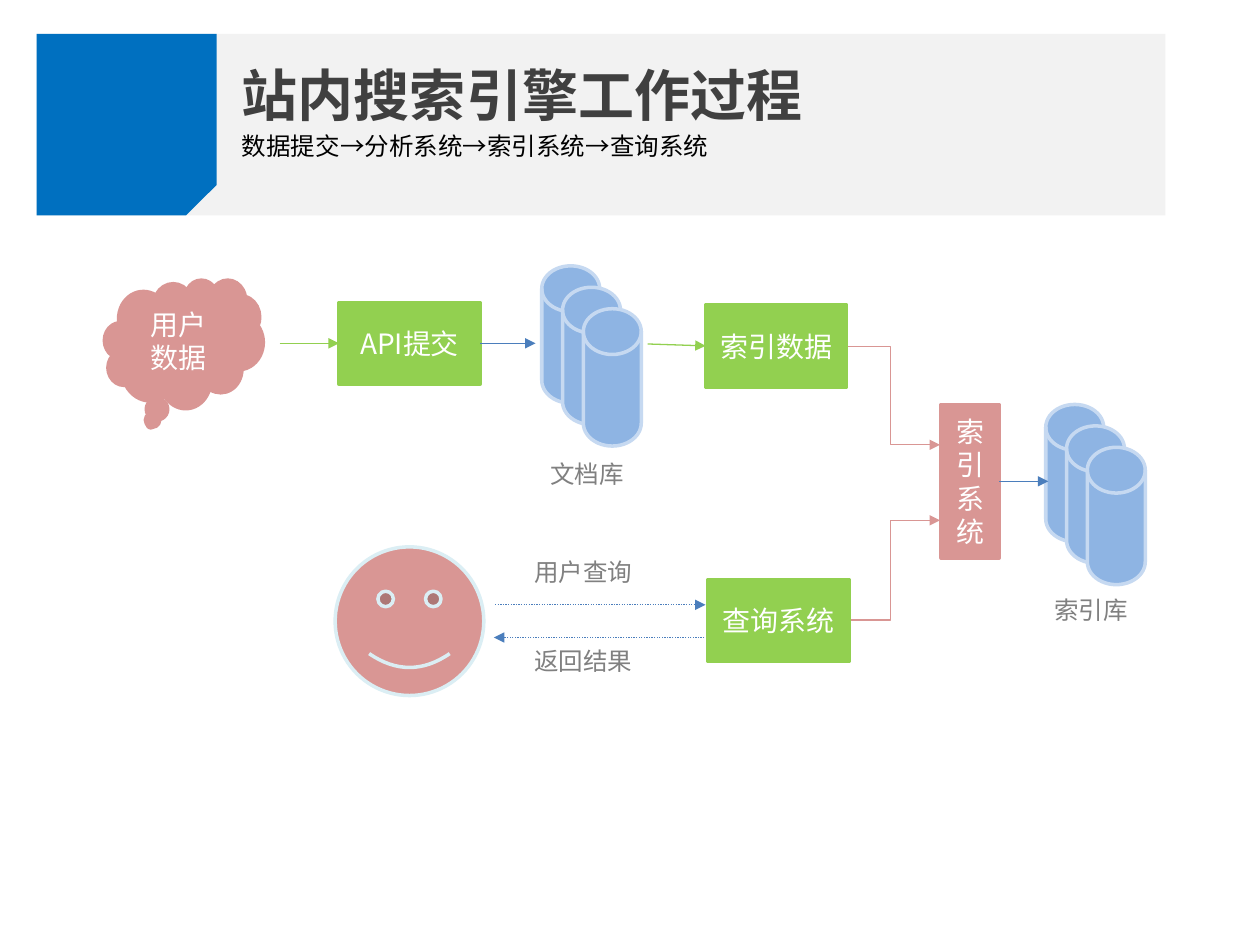
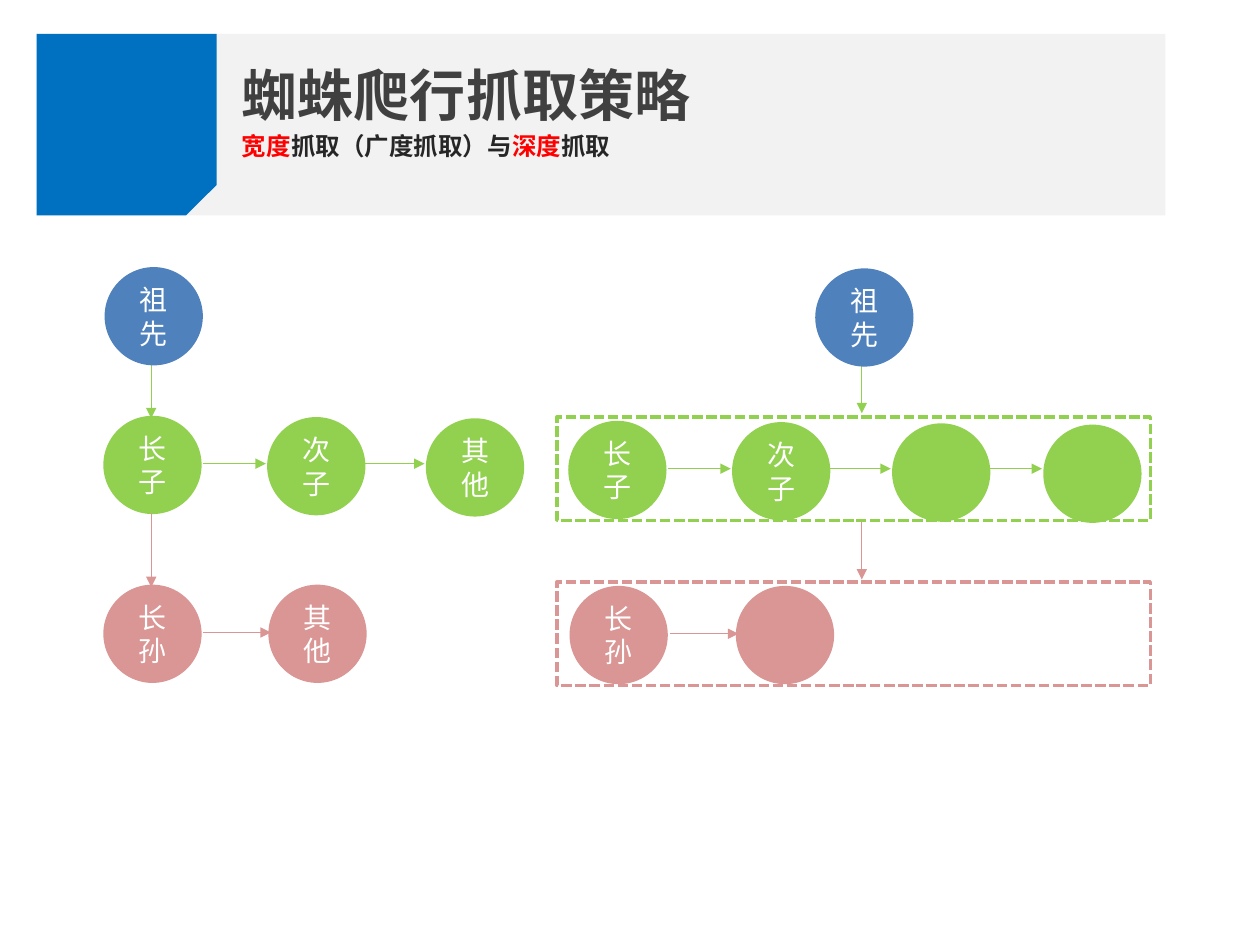
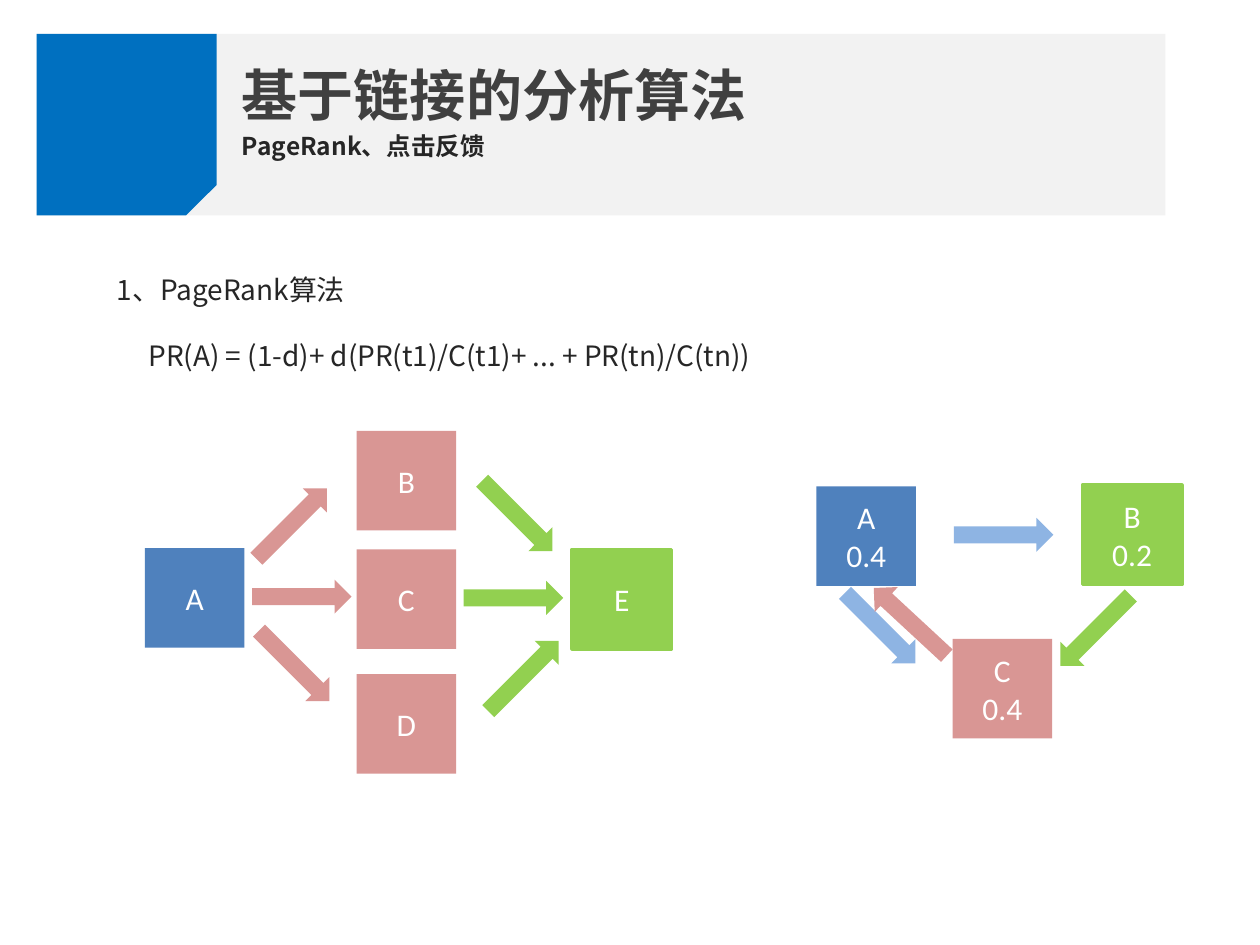
from lxml import etree
from pptx import Presentation
from pptx import util as u
from pptx.dml.color import RGBColor
from pptx.enum import dml, shapes, text
from pptx.oxml.ns import qn

COLUMNS, ROWS = 100, 75
WIDTH, HEIGHT = u.Inches(10), u.Inches(7.5)

BLACK = RGBColor(0x00, 0x00, 0x00)
WHITE = RGBColor(0xFF, 0xFF, 0xFF)
CHARCOAL = RGBColor(0x40, 0x40, 0x40)
INK = RGBColor(0x26, 0x26, 0x26)
GREY = RGBColor(0x80, 0x80, 0x80)
BAND_GREY = RGBColor(0xF2, 0xF2, 0xF2)
BAND_BLUE = RGBColor(0x00, 0x70, 0xC0)
RED = RGBColor(0xFF, 0x00, 0x00)
GREEN = RGBColor(0x92, 0xD0, 0x50)
PINK = RGBColor(0xD9, 0x96, 0x94)
BLUE = RGBColor(0x4F, 0x81, 0xBD)
ARROW_BLUE = RGBColor(0x4B, 0x7E, 0xBC)
DISK_BLUE = RGBColor(0x8E, 0xB4, 0xE3)
DISK_EDGE = RGBColor(0xC6, 0xD9, 0xF1)
FACE_EDGE = RGBColor(0xDB, 0xEE, 0xF4)

CHINESE = "Noto Sans CJK SC"
TITLE = {"size": u.Pt(32), "bold": True, "name": CHINESE}
SUBTITLE = {"size": u.Pt(14), "bold": True, "name": CHINESE}
LABEL = {"size": u.Pt(14), "bold": False, "name": CHINESE}
NODE = {"size": u.Pt(16), "bold": False, "name": CHINESE}
LETTER = {"size": u.Pt(18), "bold": False, "name": "Calibri"}

KIND = shapes.MSO_SHAPE
LEFT, CENTER = text.PP_ALIGN.LEFT, text.PP_ALIGN.CENTER
TOP, MIDDLE = text.MSO_ANCHOR.TOP, text.MSO_ANCHOR.MIDDLE
DOTS, DASHES = dml.MSO_LINE.ROUND_DOT, dml.MSO_LINE.SQUARE_DOT


def set_all(target, values):
    for name, value in values.items():
        setattr(target, name, value)


class Deck:
    """Holds the shared style and the slide being drawn; lengths are grid cells."""

    def __init__(self):
        self.presentation = Presentation()
        set_all(self.presentation, {"slide_width": WIDTH, "slide_height": HEIGHT})
        self.layout = self.presentation.slide_layouts[1]
        places = ((18.2, 1.6, 73.1, 8.2), (18.2, 9.9, 73, 3.4))
        for placeholder, place in zip(self.layout.placeholders, places):
            sides = ("left", "top", "width", "height")
            set_all(placeholder, dict(zip(sides, self.cells(*place))))
        self.slide = None

    def cells(self, *lengths):
        """Turn alternating column and row lengths into EMU."""
        steps = (WIDTH / COLUMNS, HEIGHT / ROWS)
        return [u.Emu(round(length * steps[i % 2])) for i, length in enumerate(lengths)]

    def open_slide(self, title, subtitle, subtitle_format=SUBTITLE):
        self.slide = self.presentation.slides.add_slide(self.layout)
        if len(self.presentation.slides) == 1:
            self.draw_bands()
        heading, body = self.slide.placeholders
        self.put_text(heading, [[(title, CHARCOAL)]], TITLE, line_spacing=1.5)
        self.put_text(body, [subtitle], subtitle_format, space_before=u.Pt(0))
        properties = body.text_frame.paragraphs[0]._p.get_or_add_pPr()
        properties.set("marL", "0")
        properties.set("indent", "0")
        etree.SubElement(properties, qn("a:buNone"))

    def draw_bands(self):
        """Draw the heading bands and move them to the layout all slides use."""
        for order, (width, colour, snip) in enumerate(
                ((89.6, BAND_GREY, 0), (14.3, BAND_BLUE, 0.17))):
            band = self.shape(KIND.SNIP_1_RECTANGLE, (2.9, 2.7, width, 14.4), colour)
            band.adjustments[0] = snip
            band.rotation = 180
            band.element.spPr.xfrm.set("flipH", "1")
            band.element.nvSpPr.cNvPr.set("id", str(20 + order))
            self.layout.shapes.element.insert(2 + order, band.element)

    def put_text(self, shape, lines, style, align=LEFT, anchor=TOP, wrap=True, **spacing):
        """Fill a shape with lines, each a list of (words, colour) runs."""
        frame = shape.text_frame
        set_all(frame, {"word_wrap": wrap, "vertical_anchor": anchor,
                        "auto_size": text.MSO_AUTO_SIZE.NONE})
        for index, runs in enumerate(lines):
            paragraph = frame.add_paragraph() if index else frame.paragraphs[0]
            set_all(paragraph, {"alignment": align, **spacing})
            for words, colour in runs:
                run = paragraph.add_run()
                run.text = words
                set_all(run.font, style)
                run.font.color.rgb = colour
                east_asian = etree.SubElement(run.font._element, qn("a:ea"))
                east_asian.set("typeface", style["name"])

    def shape(self, kind, place, fill=None, edge=None, words="", style=NODE, dash=None):
        shape = self.slide.shapes.add_shape(kind, *self.cells(*place))
        shape.shadow.inherit = False
        if fill is None:
            shape.fill.background()
        else:
            shape.fill.solid()
            shape.fill.fore_color.rgb = fill
        if edge is None:
            shape.line.fill.background()
        else:
            shape.line.color.rgb = edge
            set_all(shape.line, {"width": u.Pt(2), "dash_style": dash})
        if words:
            lines = [[(line, WHITE)] for line in words.split("\n")]
            self.put_text(shape, lines, style, CENTER, MIDDLE)
        return shape

    def label(self, words, left, top, width):
        box = self.slide.shapes.add_textbox(*self.cells(left, top, width, 3.4))
        self.put_text(box, [[(words, GREY)]], LABEL, wrap=False)

    def arrow(self, start, end, colour, begin=None, finish=None, elbow=False, dash=None):
        """Draw an arrow; begin and finish are (shape, side) pairs to join."""
        kind = shapes.MSO_CONNECTOR.ELBOW if elbow else shapes.MSO_CONNECTOR.STRAIGHT
        connector = self.slide.shapes.add_connector(kind, *self.cells(*start, *end))
        if begin:
            connector.begin_connect(*begin)
        if finish:
            connector.end_connect(*finish)
        connector.line.color.rgb = colour
        set_all(connector.line, {"width": u.Pt(0.75), "dash_style": dash})
        outline = connector.element.spPr.find(qn("a:ln"))
        etree.SubElement(outline, qn("a:tailEnd")).set("type", "triangle")
        etree.SubElement(connector.element.spPr, qn("a:effectLst"))

    def block_arrow(self, left, top, colour, rotation=0):
        shape = self.shape(KIND.RIGHT_ARROW, (left, top, 7.9, 2.7), colour)
        shape.rotation = rotation

    def disk_stack(self, left, top):
        for step in range(3):
            place = (left + 1.65 * step, top + 1.7 * step, 4.6, 10.9)
            self.shape(KIND.FLOWCHART_MAGNETIC_DISK, place, DISK_BLUE, DISK_EDGE)

    def circle(self, left, top, colour, words=""):
        self.shape(KIND.FLOWCHART_CONNECTOR, (left, top, 7.8, 7.8), colour, words=words)

    def circle_chain(self, top, colour, nodes, drop, reach):
        """Draw circles in a row; reach is where arrows start and end from the next one."""
        for index, (left, words) in enumerate(nodes):
            self.circle(left, top + drop * index, colour, words)
        for left, _ in nodes[1:]:
            start, end = (left + offset for offset in reach)
            self.arrow((start, top + 3.8), (end, top + 3.8), colour)

    def square(self, left, top, colour, words, edge=None):
        self.shape(KIND.RECTANGLE, (left, top, 7.9, 7.9), colour, edge, words, LETTER)


def draw_search_process(deck):
    deck.open_slide("站内搜索引擎工作过程",
                    [("数据提交→分析系统→索引系统→查询系统", BLACK)], LABEL)
    deck.shape(KIND.CLOUD_CALLOUT, (8.3, 22.2, 12.6, 10.2), PINK, PINK, "用户数据")
    deck.arrow((66.7, 27.5), (74.6, 35.3), PINK, elbow=True)
    deck.arrow((66.7, 49.2), (74.6, 41.3), PINK, elbow=True)
    submit, index_data, _ = [
        deck.shape(KIND.RECTANGLE, (left, top, 11.2, 6.5), GREEN, GREEN, words)
        for left, top, words in ((26.9, 24, "API提交"), (56, 24.2, "索引数据"),
                                 (56.2, 46, "查询系统"))]
    indexer = deck.shape(KIND.RECTANGLE, (74.7, 32.1, 4.6, 12.2), PINK, PINK, "索引系统")
    deck.disk_stack(43, 21.1)
    deck.disk_stack(83, 32.1)
    deck.arrow((22.2, 27.25), (26.9, 27.25), GREEN, finish=(submit, 1))
    deck.arrow((38.1, 27.25), (42.5, 27.25), ARROW_BLUE, begin=(submit, 3))
    deck.arrow((51.4, 27.3), (56, 27.45), GREEN, finish=(index_data, 1))
    deck.arrow((79.3, 38.2), (83.2, 38.2), ARROW_BLUE, begin=(indexer, 3))
    deck.arrow((39.3, 48), (56, 48), ARROW_BLUE, dash=DOTS)
    deck.arrow((55.9, 50.6), (39.2, 50.6), ARROW_BLUE, dash=DOTS)
    deck.shape(KIND.SMILEY_FACE, (26.6, 43.4, 11.8, 11.8), PINK, FACE_EDGE)
    for words, left, top, width in (("文档库", 42.7, 35.9, 7.9), ("索引库", 82.7, 46.7, 7.9),
                                    ("用户查询", 41.4, 43.7, 9.9), ("返回结果", 41.4, 50.8, 9.9)):
        deck.label(words, left, top, width)


def draw_crawl_strategies(deck):
    deck.open_slide("蜘蛛爬行抓取策略", [("宽度", RED), ("抓取（广度抓取）与", INK),
                                 ("深度", RED), ("抓取", INK)])
    child_reach, grandchild_reach = (-5.1, -0.1), (-5.2, 0.2)
    deck.circle_chain(33, GREEN, [(8.2, "长子"), (21.2, "次子"), (33.8, "其他")],
                      0.1, child_reach)
    deck.circle_chain(46.4, PINK, [(8.2, "长孙"), (21.3, "其他")], 0, grandchild_reach)
    deck.circle_chain(33.4, GREEN, [(45.1, "长子"), (58.1, "次子"), (70.8, ""), (82.8, "")],
                      0.1, child_reach)
    deck.circle_chain(46.5, PINK, [(45.2, "长孙"), (58.4, "")], 0, grandchild_reach)
    for column, start, end, colour in ((12, 27.3, 33.2, GREEN), (12, 40.7, 46.6, PINK),
                                       (68.4, 28, 32.8, GREEN), (68.4, 41.3, 46, PINK)):
        deck.arrow((column, start), (column, end), colour)
    for top, colour in ((33.1, GREEN), (46.2, PINK)):
        deck.shape(KIND.RECTANGLE, (44.2, top, 47.1, 8.2), edge=colour, dash=DASHES)
    for left, top in ((8.3, 21.2), (64.7, 21.3)):
        deck.circle(left, top, BLUE, "祖先")


def draw_link_analysis(deck):
    deck.open_slide("基于链接的分析算法", [("PageRank、点击反馈", INK)])
    formula = deck.shape(KIND.RECTANGLE, (8.3, 21.1, 77.5, 14.5), WHITE)
    deck.put_text(formula, [[("1、PageRank算法", INK)],
                            [("PR(A) = (1-d)+ d(PR(t1)/C(t1)+ ... + PR(tn)/C(tn))", INK)]],
                  NODE)
    second = formula.text_frame.paragraphs[1]
    second.space_before = u.Pt(19)
    second._p.get_or_add_pPr().set("marL", str(u.Inches(0.25)))

    for left, top, colour, rotation in (
            (83, 48.7, GREEN, 135), (75.7, 41.1, DISK_BLUE, 0),
            (65.9, 48.5, DISK_BLUE, 45), (68.3, 48, PINK, 222.8),
            (19.2, 40.2, PINK, 315), (20, 46, PINK, 0), (19.4, 51.5, PINK, 45),
            (37.1, 39.6, GREEN, 45), (36.8, 46.1, GREEN, 0), (37.6, 52.3, GREEN, 315)):
        deck.block_arrow(left, top, colour, rotation)
    for left, top, colour, words in (
            (64.8, 38.6, BLUE, "A\n0.4"), (75.6, 50.7, PINK, "C\n0.4"),
            (11.5, 43.5, BLUE, "A"), (28.3, 34.2, PINK, "B"),
            (28.3, 43.6, PINK, "C"), (28.3, 53.5, PINK, "D")):
        deck.square(left, top, colour, words)
    deck.square(85.9, 38.5, GREEN, "B\n0.2", GREEN)
    deck.square(45.4, 43.6, GREEN, "E", GREEN)


def main():
    deck = Deck()
    draw_search_process(deck)
    draw_crawl_strategies(deck)
    draw_link_analysis(deck)
    deck.presentation.save("out.pptx")


if __name__ == "__main__":
    main()
